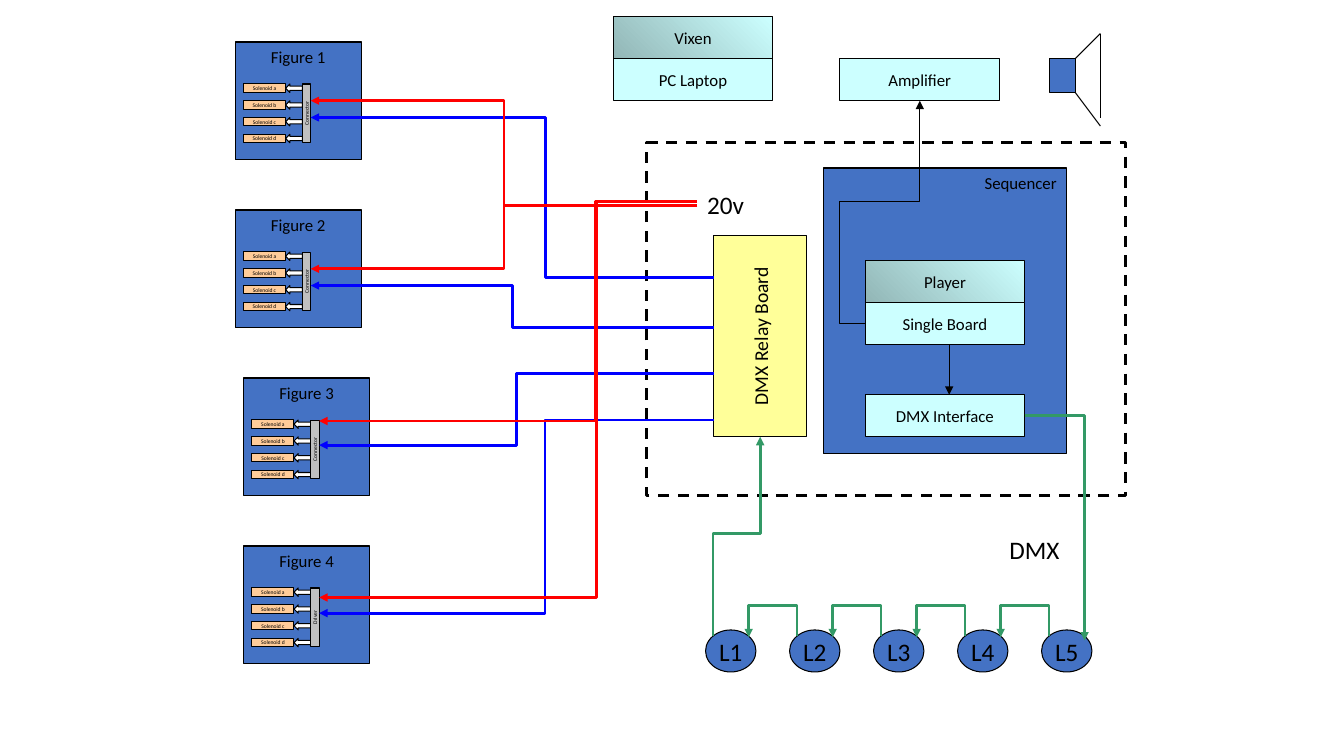
from lxml import etree
from pptx import Presentation
from pptx.dml.color import RGBColor
from pptx.enum.dml import MSO_LINE
from pptx.enum.shapes import MSO_CONNECTOR, MSO_SHAPE
from pptx.enum.text import MSO_ANCHOR, PP_ALIGN
from pptx.oxml.ns import qn
from pptx.util import Emu, Pt

RECT, OVAL, ARROW = MSO_SHAPE.RECTANGLE, MSO_SHAPE.OVAL, MSO_SHAPE.RIGHT_ARROW
STRAIGHT, ELBOW = MSO_CONNECTOR.STRAIGHT, MSO_CONNECTOR.ELBOW
LEFT, CENTER, RIGHT = PP_ALIGN.LEFT, PP_ALIGN.CENTER, PP_ALIGN.RIGHT
TOP, MIDDLE = MSO_ANCHOR.TOP, MSO_ANCHOR.MIDDLE
DASH = MSO_LINE.DASH

BLACK, WHITE, BLUE, CYAN = "000000", "FFFFFF", "4472C4", "CCFFFF"
ORANGE, GRAY, YELLOW, TEAL = "FFCC99", "C0C0C0", "FFFF99", "92B6B6"
WIRE, POWER, DMX = "0000FF", "FF0000", "339966"


def px(n):
    return Emu(round(n * 9525))


def rgb(code):
    return RGBColor.from_string(code)


def write(shape, text, size=12, align=CENTER, anchor=MIDDLE):
    frame = shape.text_frame
    frame.word_wrap = False
    frame.vertical_anchor = anchor
    para = frame.paragraphs[0]
    para.alignment = align
    run = para.add_run()
    run.text = text
    run.font.size = Pt(size)
    run.font.name = "Calibri"
    run.font.color.rgb = rgb(BLACK)


def block(slide, box, fill=None, text="", kind=RECT, turn=0, **form):
    shape = slide.shapes.add_shape(kind, *map(px, box))
    shape.shadow.inherit = False
    shape.rotation = turn
    if fill:
        shape.fill.solid()
        shape.fill.fore_color.rgb = rgb(fill)
    else:
        shape.fill.background()
    shape.line.color.rgb = rgb(BLACK)
    shape.line.width = Pt(0.75)
    if text:
        write(shape, text, **form)
    return shape


def label(slide, box, text, **form):
    write(slide.shapes.add_textbox(*map(px, box)), text, **form)


def link(slide, kind, ends, color, width, head):
    line = slide.shapes.add_connector(kind, *map(px, ends))
    line.line.color.rgb = rgb(color)
    line.line.width = Pt(width)
    if head:
        etree.SubElement(line.line._get_or_add_ln(), qn("a:tailEnd"), type="triangle")
    etree.SubElement(line._element.spPr, qn("a:effectLst"))
    return line


def elbow(slide, points, color, width=2):
    """Join the points by one bent connector, turned if it sets off vertically."""
    (x1, y1), (x2, y2) = points[0], points[-1]
    wide, high = x2 - x1, y2 - y1
    upright = points[0][0] == points[1][0]
    turn = 0
    ends = x1, y1, x2, y2
    if upright:
        turn = 90 if high > 0 else 270
        length = abs(high)
        rise = -wide if high > 0 else wide
        midx, midy = (x1 + x2) / 2, (y1 + y2) / 2
        ends = (midx - length / 2, midy - rise / 2,
                midx + length / 2, midy + rise / 2)
    line = link(slide, ELBOW, ends, color, width, True)
    props = line._element.spPr
    if turn:
        props.find(qn("a:xfrm")).set("rot", str(turn * 60000))
    geom = props.find(qn("a:prstGeom"))
    geom.set("prst", f"bentConnector{len(points) - 1}")
    guides = geom.find(qn("a:avLst"))
    for i, (x, y) in enumerate(points[1:-2], 1):
        across = (i % 2 == 1) != upright
        ratio = (x - x1) / wide if across else (y - y1) / high
        etree.SubElement(guides, qn("a:gd"), name=f"adj{i}",
                         fmla=f"val {round(ratio * 100000)}")


def figure(slide, x, y, title, plug):
    block(slide, (x, y, 120, 112), BLUE, title, anchor=TOP)
    for i, name in enumerate("abcd"):
        row = y + 40 + 16 * i
        block(slide, (x + 8, row, 40, 8), ORANGE, f"Solenoid {name}", size=4)
        block(slide, (x + 48, row, 16, 8), WHITE, kind=ARROW, turn=180)
    block(slide, (x + 40, y + 64, 56, 8), GRAY, plug, turn=270, size=4)


def stack(slide, x, y, upper, lower):
    """Software on a gradient above the machine that runs it."""
    top = block(slide, (x, y, 152, 40), CYAN, upper)
    top.fill.gradient()
    top.fill.gradient_angle = 45
    for stop, color in zip(top.fill.gradient_stops, (TEAL, CYAN)):
        stop.color.rgb = rgb(color)
    block(slide, (x, y + 40, 152, 40), CYAN, lower)


def speaker(slide, x, y):
    block(slide, (x, y + 24, 24, 32), BLUE)
    for ends in ((24, 24, 48, 0), (48, 0, 48, 80), (24, 56, 48, 88)):
        ends = [n + (y if i % 2 else x) for i, n in enumerate(ends)]
        link(slide, STRAIGHT, ends, BLACK, 0.75, False)


def lights(slide, x, y):
    for i in range(5):
        left = x + 80 * i
        block(slide, (left, y, 48, 40), BLUE, f"L{i + 1}", kind=OVAL, size=18)
        if i:
            start, end = left + 7, left - 39
            elbow(slide, [(start, y + 6), (start, y - 24),
                          (end, y - 24), (end, y + 7)], DMX)


def wires(slide):
    for y, mid, x, end in ((264, 520, 296, 112), (312, 488, 296, 272),
                           (356, 492, 304, 424), (400, 519, 304, 584)):
        elbow(slide, [(680, y), (mid, y), (mid, end), (x, end)], WIRE)
    for y, mid, x, end in ((196, 480, 296, 96), (196, 480, 296, 256),
                           (192, 567, 304, 401)):
        elbow(slide, [(664, y), (mid, y), (mid, end), (x, end)], POWER)
    elbow(slide, [(568, 192), (568, 569), (304, 569)], POWER)


def control(slide, x, y):
    block(slide, (x + 168, y + 24, 232, 272), BLUE, "Sequencer",
          align=RIGHT, anchor=TOP)
    block(slide, (x + 12, y + 140, 192, 88), YELLOW, "DMX Relay Board",
          turn=270, size=14)
    label(slide, (x + 48, y + 40, 55, 38), "20v", size=18, align=LEFT, anchor=TOP)
    block(slide, (x + 208, y + 240, 152, 40), CYAN, "DMX Interface")
    stack(slide, x + 208, y + 112, "Player", "Single Board")
    link(slide, STRAIGHT, (x + 288, y + 192, x + 288, y + 240), BLACK, 0.75, True)
    frame = block(slide, (x, y, 456, 336))
    frame.line.width = Pt(2)
    frame.line.dash_style = DASH


def main():
    deck = Presentation()
    deck.slide_width, deck.slide_height = px(1280), px(720)
    slide = deck.slides.add_slide(deck.slide_layouts[6])
    for i, x in enumerate((224, 224, 232, 232)):
        plug = "Driver" if i == 3 else "Connector"
        figure(slide, x, 40 + 160 * i, f"Figure {i + 1}", plug)
    control(slide, 616, 136)
    lights(slide, 672, 600)
    wires(slide)
    label(slide, (952, 504, 68, 38), "DMX", size=18, align=LEFT, anchor=TOP)
    elbow(slide, [(976, 396), (1033, 396), (1033, 610)], DMX)
    elbow(slide, [(679, 606), (679, 508), (724, 508), (724, 416)], DMX)
    stack(slide, 584, 16, "Vixen", "PC Laptop")
    block(slide, (800, 56, 152, 40), CYAN, "Amplifier")
    elbow(slide, [(824, 308), (800, 308), (800, 192), (876, 192), (876, 96)],
          BLACK, 0.75)
    speaker(slide, 1000, 32)
    deck.save("out.pptx")


if __name__ == "__main__":
    main()
